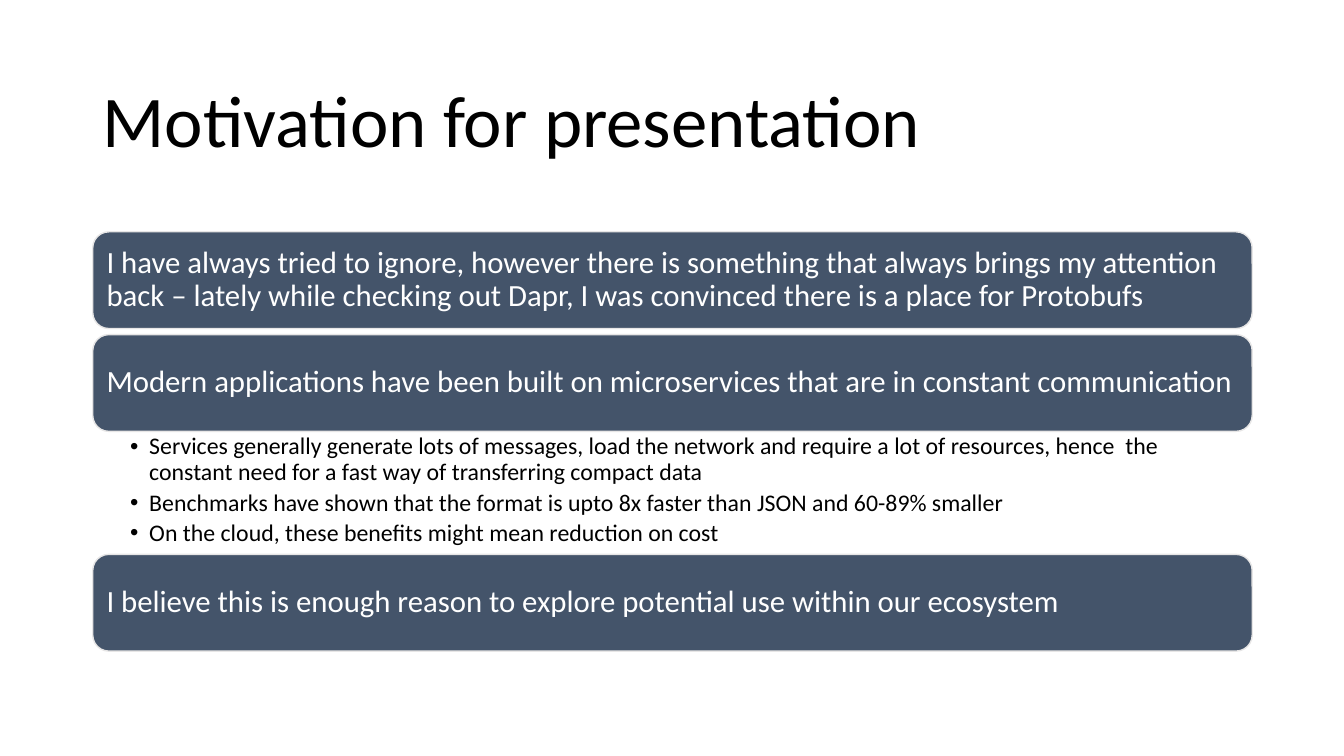
"""Build the slide that gives the motivation for the presentation."""
from lxml import etree
from pptx import Presentation
from pptx.dml.color import RGBColor
from pptx.enum.shapes import MSO_SHAPE
from pptx.enum.text import MSO_ANCHOR, PP_ALIGN
from pptx.oxml.ns import qn
from pptx.util import Inches, Pt

ROUNDED = MSO_SHAPE.ROUNDED_RECTANGLE
MIDDLE, TOP = MSO_ANCHOR.MIDDLE, MSO_ANCHOR.TOP
LEFT = PP_ALIGN.LEFT

TITLE = "Motivation for presentation"
REASONS = [
    ("I have always tried to ignore, however there is something that always brings my attention "
     "back – lately while checking out Dapr, I was convinced there is a place for Protobufs", []),
    ("Modern applications have been built on microservices that are in constant communication", [
        "Services generally generate lots of messages, load the network and require a lot of "
        "resources, hence  the constant need for a fast way of transferring compact data",
        "Benchmarks have shown that the format is upto 8x faster than JSON and 60-89% smaller",
        "On the cloud, these benefits might mean reduction on cost",
    ]),
    ("I believe this is enough reason to explore potential use within our ecosystem", []),
]

FONT = "Calibri"
BLACK, WHITE, SLATE, PALE = "000000", "FFFFFF", "44546A", "E7E6E6"
SLIDE_WIDTH, SLIDE_HEIGHT = 13.33, 7.5
MARGIN = 0.92
CONTENT_WIDTH = 11.5
TITLE_TOP, TITLE_HEIGHT = 0.61, 1.24
FIRST_TOP, BOX_HEIGHT, BOX_GAP = 2.3, 0.96, 0.06
DETAIL_HEIGHT = 1.22
BULLET_INDENT = 0.19


def color(value):
    return RGBColor.from_string(value)


def write(shape, lines, size, text_color, insets, anchor):
    frame = shape.text_frame
    frame.word_wrap = True
    frame.vertical_anchor = anchor
    frame.margin_left, frame.margin_top, frame.margin_right, frame.margin_bottom = map(Inches, insets)
    for index, line in enumerate(lines):
        paragraph = frame.add_paragraph() if index else frame.paragraphs[0]
        paragraph.alignment = LEFT
        paragraph.line_spacing = 0.9
        run = paragraph.add_run()
        run.text = line
        run.font.name = FONT
        run.font.size = Pt(size)
        run.font.color.rgb = color(text_color)
    return frame.paragraphs


def add_text(slide, top, height, *style):
    box = slide.shapes.add_textbox(*map(Inches, (MARGIN, top, CONTENT_WIDTH, height)))
    return write(box, *style)


def add_reason(slide, top, text):
    box = slide.shapes.add_shape(ROUNDED, *map(Inches, (MARGIN, top, CONTENT_WIDTH, BOX_HEIGHT)))
    box.shadow.inherit = False
    box.fill.solid()
    box.fill.fore_color.rgb = color(SLATE)
    box.line.color.rgb = color(PALE)
    box.line.width = Pt(1)
    write(box, [text], 22, WHITE, [0.09] * 4, MIDDLE)


def add_details(slide, top, details):
    paragraphs = add_text(slide, top, DETAIL_HEIGHT, details, 17, BLACK, (0.37, 0.03, 0.17, 0.03), TOP)
    for paragraph in paragraphs:
        paragraph.space_after = Pt(17 * 0.2)
        properties = paragraph._p.get_or_add_pPr()
        properties.set("marL", str(Inches(BULLET_INDENT)))
        properties.set("indent", str(-Inches(BULLET_INDENT)))
        etree.SubElement(properties, qn("a:buFont")).set("typeface", "Arial")
        etree.SubElement(properties, qn("a:buChar")).set("char", "•")


def main():
    presentation = Presentation()
    presentation.slide_width = Inches(SLIDE_WIDTH)
    presentation.slide_height = Inches(SLIDE_HEIGHT)
    slide = presentation.slides.add_slide(presentation.slide_layouts[6])
    add_text(slide, TITLE_TOP, TITLE_HEIGHT, [TITLE], 52, BLACK, (0.1, 0.05, 0.1, 0.05), MIDDLE)
    top = FIRST_TOP
    for reason, details in REASONS:
        add_reason(slide, top, reason)
        top += BOX_HEIGHT
        if details:
            add_details(slide, top, details)
        top += DETAIL_HEIGHT if details else BOX_GAP
    presentation.save("out.pptx")


if __name__ == "__main__":
    main()
